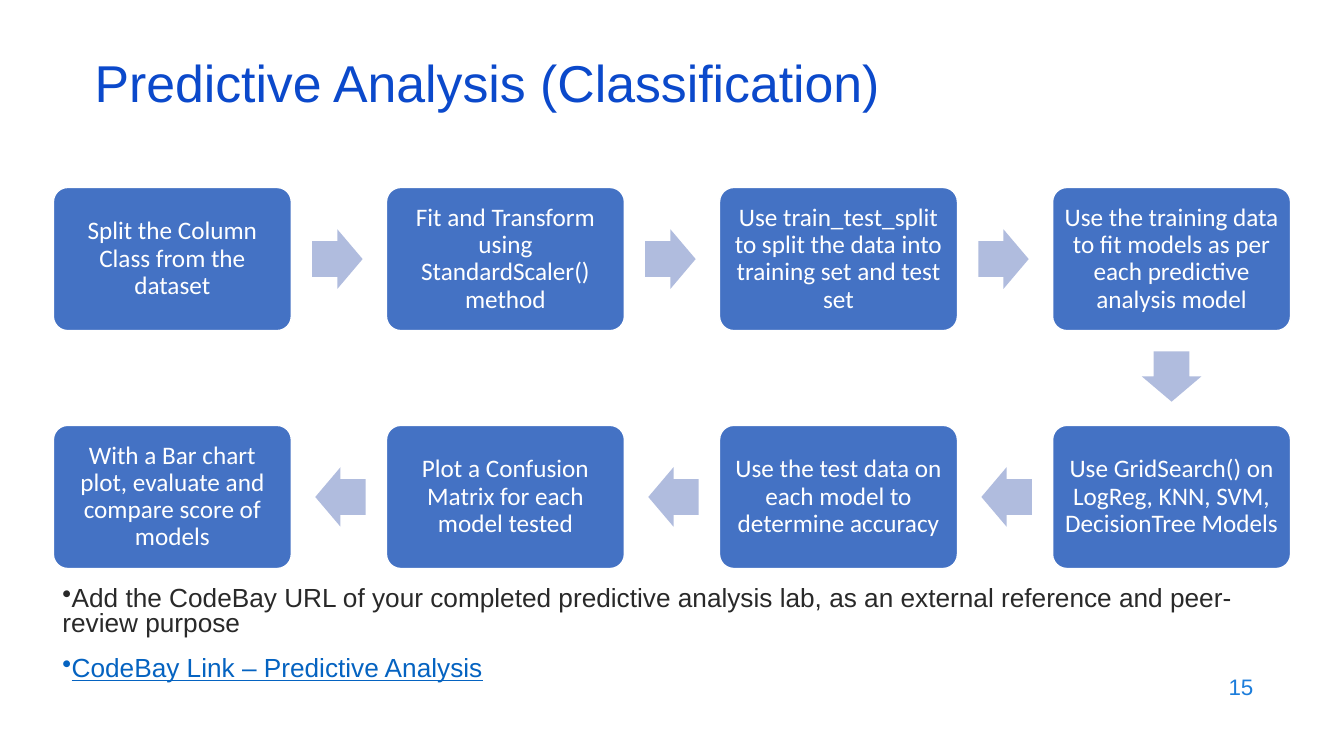
import math
import itertools
import pptx
import pptx.util
import pptx.dml.color
import pptx.enum.shapes
import pptx.enum.text
import pptx.oxml.ns
import lxml.etree

RGB = pptx.dml.color.RGBColor
NAVY = RGB(0x0B, 0x49, 0xCB)
SKY = RGB(0x1C, 0x7D, 0xDB)
STEEL = RGB(0x44, 0x72, 0xC4)
MIST = RGB(0xB0, 0xBC, 0xDE)
INK = RGB(0x29, 0x29, 0x29)
LINK = RGB(0x05, 0x63, 0xC1)
WHITE = RGB(0xFF, 0xFF, 0xFF)

SHAPE = pptx.enum.shapes.MSO_SHAPE
ALIGN = pptx.enum.text.PP_ALIGN
MIDDLE = pptx.enum.text.MSO_ANCHOR.MIDDLE
TOP = pptx.enum.text.MSO_ANCHOR.TOP
Pt = pptx.util.Pt
Inches = pptx.util.Inches

STEPS = [
    ["Split the Column Class from the dataset",
     "Fit and Transform using StandardScaler() method",
     "Use train_test_split to split the data into training set and test set",
     "Use the training data to fit models as per each predictive analysis model"],
    ["With a Bar chart plot, evaluate and compare score of models",
     "Plot a Confusion Matrix for each model tested",
     "Use the test data on each model to determine accuracy",
     "Use GridSearch() on LogReg, KNN, SVM, DecisionTree Models"],
]


def apply(target, style):
    for name, value in style.items():
        setattr(target, name, value)


class Board:
    left, top = 0.53, 1.86
    col_step, row_step = 9.91 / 3, 2.36
    box_w, box_h = 2.36, 1.42
    arrow_w, arrow_h = 0.5, 0.59
    nudge = 0.015

    def __init__(self, deck):
        self.slide = deck.slides.add_slide(deck.slide_layouts[6])

    def center(self, col, row):
        return (self.left + col * self.col_step + self.box_w / 2,
                self.top + row * self.row_step + self.box_h / 2)

    def words(self, para, words, font, layout):
        apply(para, layout)
        run = para.add_run()
        run.text = words
        font = dict(font)
        run.font.color.rgb = font.pop("color")
        apply(run.font, font)

    def shape(self, kind, middle, size, fill, adjust):
        (x, y), (w, h) = middle, size
        shape = self.slide.shapes.add_shape(
            kind, Inches(x - w / 2), Inches(y - h / 2), Inches(w), Inches(h))
        shape.shadow.inherit = False
        shape.fill.solid()
        shape.fill.fore_color.rgb = fill
        for spot, value in enumerate(adjust):
            shape.adjustments[spot] = value
        return shape

    def step(self, col, row, words):
        box = self.shape(SHAPE.ROUNDED_RECTANGLE, self.center(col, row),
                         (self.box_w, self.box_h), STEEL, [0.1])
        box.line.color.rgb = WHITE
        box.line.width = Pt(1)
        frame = box.text_frame
        sides = ("left", "top", "right", "bottom")
        apply(frame, {f"margin_{side}": Inches(0.07) for side in sides})
        apply(frame, {"word_wrap": True, "vertical_anchor": MIDDLE})
        self.words(frame.paragraphs[0], words,
                   {"name": "Calibri", "size": Pt(18), "color": WHITE},
                   {"alignment": ALIGN.CENTER, "line_spacing": 0.9})

    def arrow(self, start, end):
        dx, dy = end[0] - start[0], end[1] - start[1]
        (ax, ay), (bx, by) = self.center(*start), self.center(*end)
        middle = ((ax + bx) / 2 - dx * self.nudge,
                  (ay + by) / 2 - dy * self.nudge)
        arrow = self.shape(SHAPE.RIGHT_ARROW, middle,
                           (self.arrow_w, self.arrow_h), MIST, [0.6, 0.5])
        arrow.line.fill.background()
        arrow.rotation = math.degrees(math.atan2(dy, dx)) % 360

    def text(self, place, items, font, layout, anchor=MIDDLE, bullet=False):
        box = self.slide.shapes.add_textbox(*map(Inches, place))
        frame = box.text_frame
        apply(frame, {"word_wrap": True, "vertical_anchor": anchor})
        for spot, (words, extra) in enumerate(items):
            para = frame.add_paragraph() if spot else frame.paragraphs[0]
            if bullet:
                props = para._p.get_or_add_pPr()
                mark = lxml.etree.SubElement(
                    props, pptx.oxml.ns.qn("a:buChar"))
                mark.set("char", "•")
            self.words(para, words, {**font, **extra}, layout)
            if spot:
                para.space_before = Pt(14)


def main():
    deck = pptx.Presentation()
    apply(deck, {"slide_width": Inches(13.33), "slide_height": Inches(7.5)})
    board = Board(deck)
    board.text((9.53, 6.59, 3, 0.44), [("15", {})],
               {"name": "Arial", "size": Pt(16), "color": SKY},
               {"alignment": ALIGN.RIGHT})
    board.text((0.52, 5.78, 12.28, 1.04),
               [("Add the CodeBay URL of your completed predictive analysis "
                 "lab, as an external reference and peer-review purpose", {}),
                ("CodeBay Link – Predictive Analysis",
                 {"color": LINK, "underline": True})],
               {"name": "Arial", "size": Pt(18.7), "color": INK},
               {"line_spacing": 0.8}, TOP, True)
    board.text((0.84, 0.59, 11.5, 0.6),
               [("Predictive Analysis (Classification)", {})],
               {"name": "Arial", "size": Pt(37), "color": NAVY},
               {"line_spacing": 0.7})
    cols = range(len(STEPS[0]))
    route = [(col, 0) for col in cols] + [(col, 1) for col in reversed(cols)]
    for col, row in route:
        board.step(col, row, STEPS[row][col])
    for start, end in itertools.pairwise(route):
        board.arrow(start, end)
    deck.save("out.pptx")


if __name__ == "__main__":
    main()
